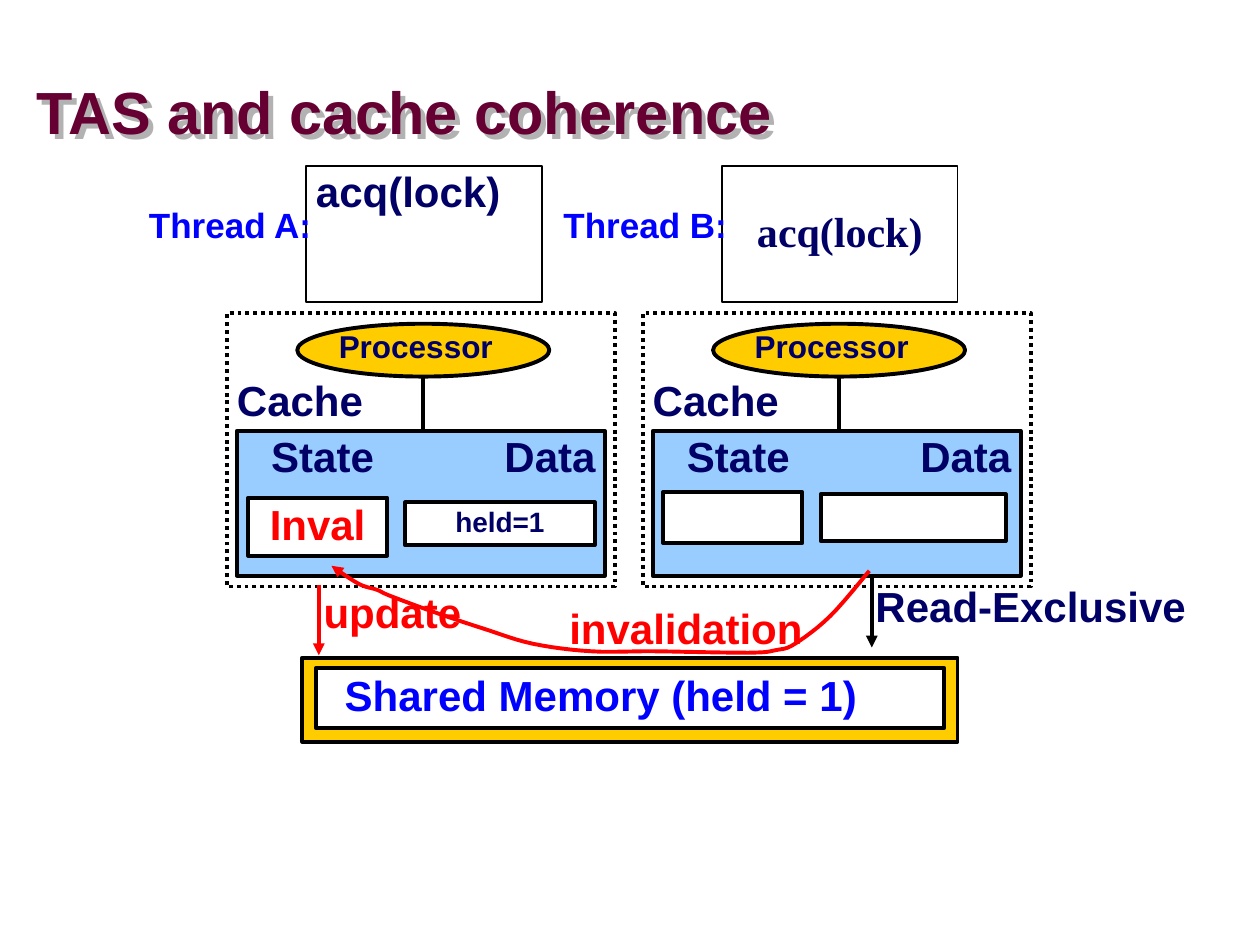
from dataclasses import dataclass
from typing import Optional

from lxml.etree import SubElement
from pptx import Presentation
from pptx.dml.color import RGBColor
from pptx.enum.dml import MSO_LINE
from pptx.enum.shapes import MSO_CONNECTOR, MSO_SHAPE
from pptx.enum.text import MSO_ANCHOR, MSO_AUTO_SIZE, PP_ALIGN
from pptx.oxml import parse_xml
from pptx.oxml.ns import nsdecls, qn
from pptx.util import Pt


@dataclass(frozen=True)
class Theme:
    title: str = "660033"
    ink: str = "000066"
    accent: str = "0000FF"
    alert: str = "FF0000"
    outline: str = "000000"
    gold: str = "FFCC00"
    cache: str = "99CCFF"
    paper: str = "FFFFFF"
    shadow: str = "B2B2B2"
    font: str = "Arial"
    serif: str = "Times New Roman"
    title_size: float = 34
    large: float = 24
    medium: float = 20
    small: float = 18
    tiny: float = 16
    stroke: float = 2.25
    thin: float = 1
    margin: float = 7.2
    slim_margin: float = 2


@dataclass(frozen=True)
class Box:
    left: float
    top: float
    width: float
    height: float

    def shifted(self, dx: float) -> "Box":
        return Box(self.left + dx, self.top, self.width, self.height)

    def lengths(self) -> tuple:
        return Pt(self.left), Pt(self.top), Pt(self.width), Pt(self.height)


THEME = Theme()
LEFT, CENTER, RIGHT = PP_ALIGN.LEFT, PP_ALIGN.CENTER, PP_ALIGN.RIGHT


@dataclass(frozen=True)
class Label:
    text: str
    size: float
    color: str
    align: PP_ALIGN = CENTER
    font: str = THEME.font
    anchor: MSO_ANCHOR = MSO_ANCHOR.TOP


@dataclass(frozen=True)
class Node:
    thread: str
    offset: float
    state_cell: Box
    data_cell: Box
    state: Optional[Label] = None
    data: Optional[Label] = None
    code: Optional[Label] = None


NODES = [
    Node("Thread A:", 0, Box(141.8, 284.4, 79.4, 33.1), Box(231.6, 287, 108.2, 24.6),
         state=Label("Inval", THEME.large, THEME.alert),
         data=Label("held=1", THEME.tiny, THEME.ink)),
    Node("Thread B:", 237.6, Box(379, 281.2, 79.4, 29.2), Box(469, 282.4, 105.7, 26.8),
         code=Label("acq(lock)", THEME.large, THEME.ink, font=THEME.serif,
                    anchor=MSO_ANCHOR.MIDDLE)),
]
INVALIDATION_ROUTE = [
    (496.8, 326.2), (474.5, 352), (454.3, 367.9), (443.5, 371.5), (427.7, 373),
    (374, 372.2), (338, 372.2), (304.6, 367.9), (276.5, 359.3), (248.4, 349.9),
    (223.2, 340.6), (215.3, 337), (205.9, 334.1), (194.4, 326.9), (189.4, 323.3),
]


def write(frame, label: Label) -> None:
    frame.word_wrap = False
    frame.auto_size = MSO_AUTO_SIZE.NONE
    frame.vertical_anchor = label.anchor
    frame.margin_left = Pt(THEME.margin if label.align == LEFT else THEME.slim_margin)
    frame.margin_right = Pt(THEME.margin if label.align == RIGHT else THEME.slim_margin)
    paragraph = frame.paragraphs[0]
    paragraph.text = label.text
    paragraph.alignment = label.align
    paragraph.line_spacing = 0.9
    font = paragraph.font
    font.name, font.size, font.bold = label.font, Pt(label.size), True
    font.color.rgb = RGBColor.from_string(label.color)


def add_label(slide, box: Box, label: Label) -> None:
    write(slide.shapes.add_textbox(*box.lengths()).text_frame, label)


def add_box(slide, box: Box, fill: Optional[str] = None, label: Optional[Label] = None,
            width: float = THEME.stroke, preset: MSO_SHAPE = MSO_SHAPE.RECTANGLE,
            dash: Optional[MSO_LINE] = None) -> None:
    shape = slide.shapes.add_shape(preset, *box.lengths())
    shape.shadow.inherit = False
    if fill:
        shape.fill.solid()
        shape.fill.fore_color.rgb = RGBColor.from_string(fill)
    else:
        shape.fill.background()
    shape.line.color.rgb = RGBColor.from_string(THEME.outline)
    shape.line.width = Pt(width)
    if dash:
        shape.line.dash_style = dash
    if label:
        write(shape.text_frame, label)


def style_route(route, color: str, arrow: bool) -> None:
    route.line.color.rgb = RGBColor.from_string(color)
    route.line.width = Pt(THEME.stroke)
    if arrow:
        SubElement(route.line._get_or_add_ln(), qn("a:tailEnd"), type="triangle")


def add_vertical(slide, x: float, top: float, bottom: float, color: str,
                 arrow: bool = False) -> None:
    link = slide.shapes.add_connector(
        MSO_CONNECTOR.STRAIGHT, Pt(x), Pt(top), Pt(x), Pt(bottom))
    style_route(link, color, arrow)
    SubElement(link._element.spPr, qn("a:effectLst"))


def smooth(points: list, steps: int = 6) -> list:
    padded = [points[0], *points, points[-1]]
    curve = []
    for a, b, c, d in zip(padded, padded[1:], padded[2:], padded[3:]):
        for step in range(steps):
            t = step / steps
            curve.append(tuple(
                (2 * q + (r - p) * t + (2 * p - 5 * q + 4 * r - s) * t ** 2
                 + (3 * q - p - 3 * r + s) * t ** 3) / 2
                for p, q, r, s in zip(a, b, c, d)))
    return curve + [points[-1]]


def add_curve(slide, points: list, color: str) -> None:
    start, *rest = [(Pt(x), Pt(y)) for x, y in smooth(points)]
    builder = slide.shapes.build_freeform(*start)
    builder.add_line_segments(rest, close=False)
    curve = builder.convert_to_shape()
    curve.shadow.inherit = False
    curve.fill.background()
    style_route(curve, color, True)


def add_title(slide, text: str) -> None:
    title = slide.shapes.title
    title.left, title.top, title.width, title.height = Box(20.9, 48.2, 678.2, 36).lengths()
    frame = title.text_frame
    write(frame, Label(text, THEME.title_size, THEME.title, LEFT, anchor=MSO_ANCHOR.MIDDLE))
    frame.word_wrap = True
    frame.margin_left = frame.margin_right = frame.margin_top = frame.margin_bottom = Pt(0)
    frame.paragraphs[0].line_spacing = 0.87
    title.fill.background()
    title._element.spPr.append(parse_xml(
        f'<a:effectLst {nsdecls("a")}><a:outerShdw dist="{Pt(4)}" dir="2700000">'
        f'<a:srgbClr val="{THEME.shadow}"/></a:outerShdw></a:effectLst>'))


def add_node(slide, node: Node) -> None:
    def at(*bounds: float) -> Box:
        return Box(*bounds).shifted(node.offset)

    add_box(slide, at(169.9, 185, 144, 30.2), THEME.gold, preset=MSO_SHAPE.OVAL)
    add_label(slide, at(128.2, 213.8, 86.4, 33.1), Label("Cache", THEME.large, THEME.ink))
    add_label(slide, at(186.5, 185.8, 102.2, 26.6),
              Label("Processor", THEME.small, THEME.ink, anchor=MSO_ANCHOR.MIDDLE))
    add_box(slide, at(175, 95, 134.6, 77.8), label=node.code, width=THEME.thin)
    add_box(slide, at(129.6, 179, 221.8, 156.2), dash=MSO_LINE.ROUND_DOT)
    add_box(slide, at(135.4, 246.2, 210.2, 82.8), THEME.cache)
    add_box(slide, node.state_cell, THEME.paper, node.state)
    add_box(slide, node.data_cell, THEME.paper, node.data)
    add_label(slide, at(147.6, 245.5, 73.4, 33.1), Label("State", THEME.large, THEME.ink))
    add_label(slide, at(279.4, 245.5, 69.8, 33.1), Label("Data", THEME.large, THEME.ink))
    add_vertical(slide, 241.9 + node.offset, 216, 246.2, THEME.outline)
    add_label(slide, at(77, 115.2, 108, 28.8),
              Label(node.thread, THEME.medium, THEME.accent, RIGHT))


def main() -> None:
    deck = Presentation()
    deck.slide_width, deck.slide_height = Pt(720), Pt(540)
    slide = deck.slides.add_slide(deck.slide_layouts[5])
    add_title(slide, "TAS and cache coherence")
    add_box(slide, Box(172.8, 375.8, 374.4, 48.2), THEME.gold)
    add_box(slide, Box(180.7, 381.6, 358.6, 34.6), THEME.paper)
    add_label(slide, Box(190, 382.3, 306.7, 33.1),
              Label("Shared Memory (held = 1)", THEME.large, THEME.accent))
    for node in NODES:
        add_node(slide, node)
    add_label(slide, Box(173.5, 94.3, 119.5, 33.1),
              Label("acq(lock)", THEME.large, THEME.ink, LEFT))
    add_label(slide, Box(493.2, 331.2, 191.5, 33.1),
              Label("Read-Exclusive", THEME.large, THEME.ink, LEFT))
    add_vertical(slide, 498.2, 329.8, 370, THEME.outline, arrow=True)
    add_curve(slide, INVALIDATION_ROUTE, THEME.alert)
    add_label(slide, Box(318.2, 344.2, 147.6, 33.1),
              Label("invalidation", THEME.large, THEME.alert))
    add_vertical(slide, 182.2, 334.1, 374.4, THEME.alert, arrow=True)
    add_label(slide, Box(177.8, 334.8, 92.9, 33.1),
              Label("update", THEME.large, THEME.alert, LEFT))
    deck.save("out.pptx")


if __name__ == "__main__":
    main()
